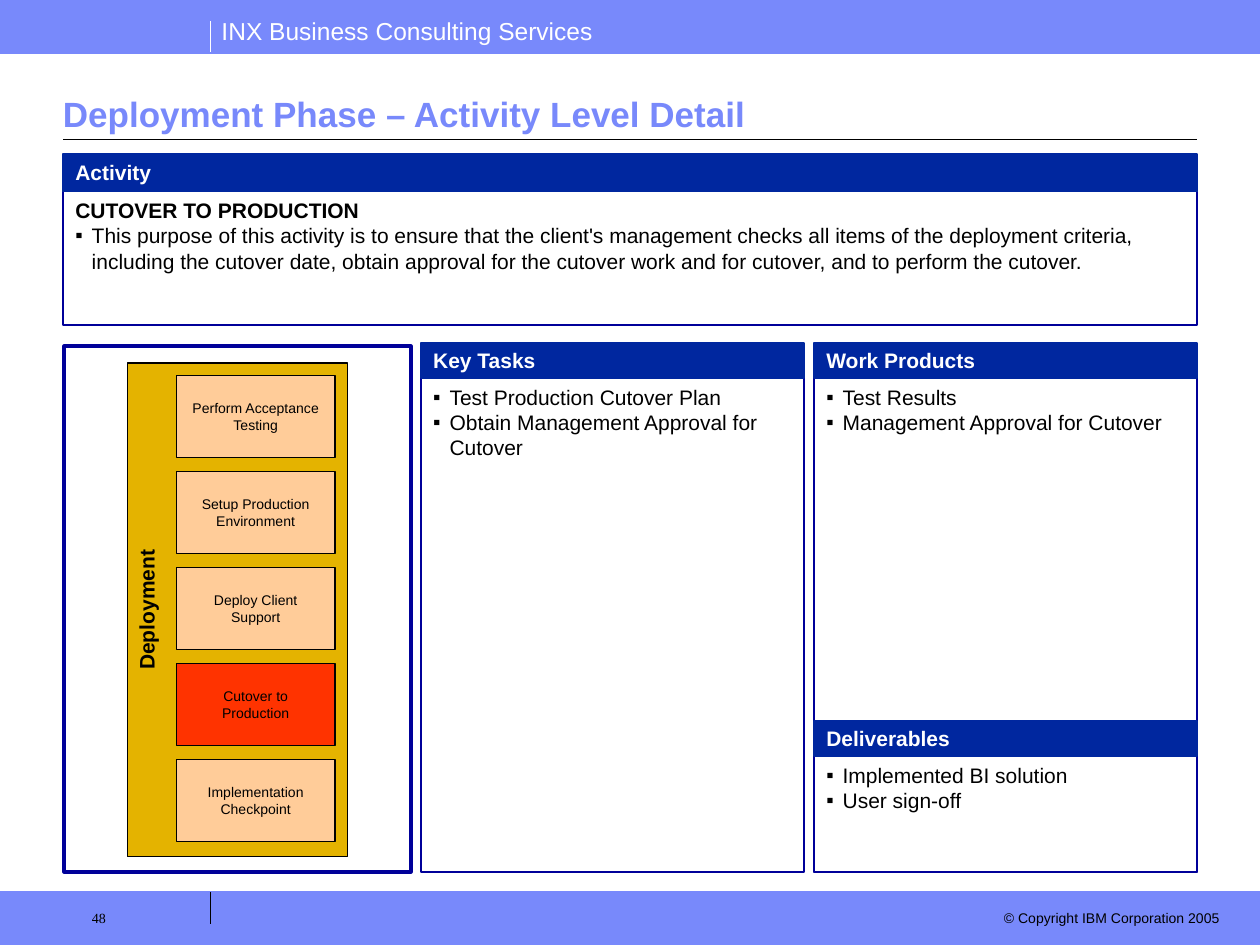
import lxml.etree
import pptx
import pptx.dml.color
import pptx.enum.shapes
import pptx.enum.text
import pptx.oxml.ns
import pptx.util

Inches = pptx.util.Inches
Pt = pptx.util.Pt
RGBColor = pptx.dml.color.RGBColor
Align = pptx.enum.text.PP_ALIGN
Anchor = pptx.enum.text.MSO_ANCHOR
qn = pptx.oxml.ns.qn

BLACK = RGBColor(0x00, 0x00, 0x00)
WHITE = RGBColor(0xFF, 0xFF, 0xFF)
SKY = RGBColor(0x78, 0x89, 0xFB)
NAVY = RGBColor(0x00, 0x27, 0x9F)
EDGE = RGBColor(0x00, 0x00, 0x99)
GOLD = RGBColor(0xE4, 0xB3, 0x00)
PEACH = RGBColor(0xFF, 0xCC, 0x99)
RED = RGBColor(0xFF, 0x33, 0x00)


class Page:
    font = "Arial"
    size = 12
    pad = (0.1, 0.05, 0.1, 0.05)
    hang = 0.13

    def __init__(self, slide):
        self.slide = slide

    def rect(self, left, top, width, height, fill=None, line=BLACK, weight=0.75):
        shape = self.slide.shapes.add_shape(
            pptx.enum.shapes.MSO_SHAPE.RECTANGLE,
            Inches(left), Inches(top), Inches(width), Inches(height))
        shape.shadow.inherit = False
        if fill is None:
            shape.fill.background()
        else:
            shape.fill.solid()
            shape.fill.fore_color.rgb = fill
        shape.line.color.rgb = line
        shape.line.width = Pt(weight)
        return shape

    def letter(self, shape, text, size=None, color=BLACK, bold=False,
               align=Align.LEFT, anchor=Anchor.TOP, pad=None, font=None):
        frame = shape.text_frame
        frame.word_wrap = True
        frame.vertical_anchor = anchor
        sides = [Inches(side) for side in pad or self.pad]
        (frame.margin_left, frame.margin_top,
         frame.margin_right, frame.margin_bottom) = sides
        frame.text = text
        for para in frame.paragraphs:
            para.alignment = align
            for run in para.runs:
                run.font.name = font or self.font
                run.font.size = Pt(size or self.size)
                run.font.bold = bold
                run.font.color.rgb = color
        return frame

    def label(self, left, top, width, height, text, **style):
        box = self.slide.shapes.add_textbox(
            Inches(left), Inches(top), Inches(width), Inches(height))
        return self.letter(box, text, **style)

    def line(self, x1, y1, x2, y2, color=BLACK, weight=0.75):
        rule = self.slide.shapes.add_connector(
            pptx.enum.shapes.MSO_CONNECTOR.STRAIGHT,
            Inches(x1), Inches(y1), Inches(x2), Inches(y2))
        rule.line.color.rgb = color
        rule.line.width = Pt(weight)
        lxml.etree.SubElement(rule._element.spPr, qn("a:effectLst"))

    def bullet(self, para):
        props = para._p.get_or_add_pPr()
        props.set("marL", str(Inches(self.hang)))
        props.set("indent", str(-Inches(self.hang)))
        tint = lxml.etree.SubElement(props, qn("a:buClr"))
        lxml.etree.SubElement(tint, qn("a:srgbClr"), val=str(BLACK))
        lxml.etree.SubElement(props, qn("a:buFont"), typeface=self.font)
        lxml.etree.SubElement(props, qn("a:buChar"), char="▪")

    def panel(self, left, top, width, height, title, items, head=0.28, lead=None):
        body = self.rect(left, top + head, width, height - head, line=EDGE, weight=1)
        lines = [lead] + items if lead else items
        paras = self.letter(body, "\n".join(lines)).paragraphs
        if lead:
            paras[0].runs[0].font.bold = True
        for para in paras[1 if lead else 0:]:
            self.bullet(para)
        bar = self.rect(left, top, width, head, NAVY, NAVY, 1)
        self.letter(bar, title, color=WHITE, bold=True, anchor=Anchor.MIDDLE)

    def step(self, left, top, width, height, text, fill):
        box = self.rect(left, top, width, height, fill)
        self.letter(box, text, size=8, align=Align.CENTER, anchor=Anchor.MIDDLE)

    def stage(self, left, top, width, height, text):
        box = self.rect(left, top, width, height, GOLD)
        frame = self.letter(box, text, bold=True, align=Align.CENTER,
                            pad=(0.05, 0.05, 0.05, 0.05))
        frame._txBody.bodyPr.set("vert", "vert270")


def main():
    deck = pptx.Presentation()
    deck.slide_width, deck.slide_height = Inches(10), Inches(7.5)
    page = Page(deck.slides.add_slide(deck.slide_layouts[6]))

    band = 0.42
    for top in (0, 7.5 - band):
        page.rect(0, top, 10, band, SKY, SKY)
    page.label(1.66, 0.08, 3.17, 0.34, "INX Business Consulting Services",
               size=14, color=WHITE)
    page.line(1.67, band, 1.67, 0.17, WHITE)
    for y in (band, 7.5 - band):
        page.line(0, y, 10, y, SKY, 0.5)
    page.line(0.5, 1.11, 9.5, 1.11)
    page.label(7.83, 7.17, 1.95, 0.24, "© Copyright IBM Corporation 2005",
               size=8, align=Align.RIGHT)
    page.line(1.67, 7.33, 1.67, 7.08)
    page.label(0.33, 7.15, 1.33, 0.35, "48", size=8, font="Times New Roman",
               pad=(0.4, 0.07, 0.1, 0.05))
    page.label(0.5, 0.67, 9, 0.45, "Deployment Phase – Activity Level Detail",
               size=20, color=SKY, bold=True, anchor=Anchor.BOTTOM,
               pad=(0, 0.05, 0, 0.05))

    page.panel(0.5, 1.22, 9, 1.36, "Activity", [
        "This purpose of this activity is to ensure that the client's management "
        "checks all items of the deployment criteria, including the cutover date, "
        "obtain approval for the cutover work and for cutover, and to perform "
        "the cutover."], head=0.3, lead="CUTOVER TO PRODUCTION")
    page.panel(3.34, 2.72, 3.04, 4.2, "Key Tasks", [
        "Test Production Cutover Plan", "Obtain Management Approval for Cutover"])
    page.panel(6.46, 2.72, 3.04, 4.2, "Work Products", [
        "Test Results", "Management Approval for Cutover"])
    page.panel(6.46, 5.72, 3.04, 1.2, "Deliverables", [
        "Implemented BI solution", "User sign-off"])

    page.rect(0.51, 2.75, 2.75, 4.17, line=EDGE, weight=2.25)
    page.stage(1.01, 2.88, 1.75, 3.92, "Deployment")
    steps = ["Perform Acceptance Testing", "Setup Production Environment",
             "Deploy Client Support", "Cutover to Production",
             "Implementation Checkpoint"]
    pitch = (6.03 - 2.98) / (len(steps) - 1)
    for row, name in enumerate(steps):
        fill = RED if name == "Cutover to Production" else PEACH
        page.step(1.4, 2.98 + row * pitch, 1.26, 0.65, name, fill)

    deck.save("out.pptx")


if __name__ == "__main__":
    main()
